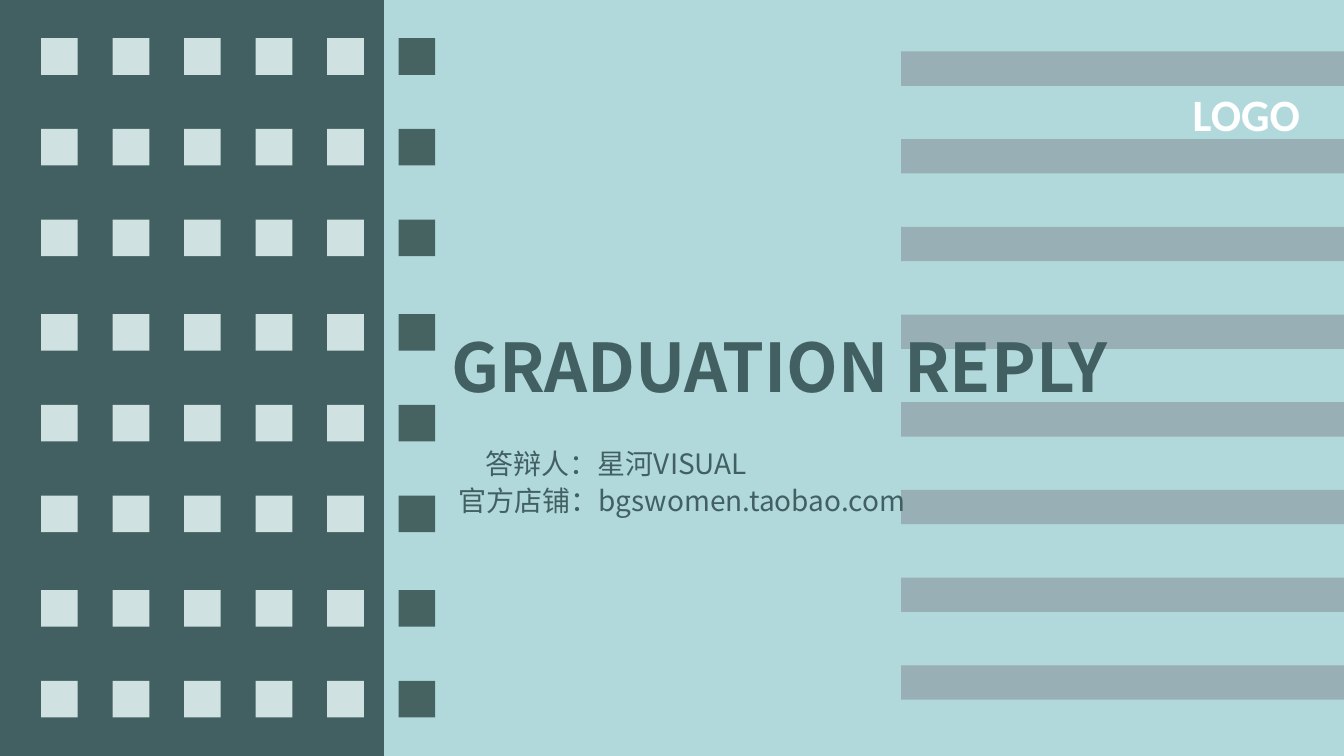
from itertools import product

from pptx import Presentation
from pptx.dml.color import RGBColor
from pptx.enum.shapes import MSO_SHAPE as Shape
from pptx.enum.text import MSO_ANCHOR as Anchor, MSO_AUTO_SIZE as AutoSize, PP_ALIGN as Align
from pptx.oxml.ns import qn
from pptx.util import Inches, Pt

SKY = RGBColor(0xB1, 0xD9, 0xDC)
TEAL = RGBColor(0x42, 0x60, 0x62)
MOSS = RGBColor(0x46, 0x62, 0x61)
MIST = RGBColor(0xCF, 0xE1, 0xE1)
STEEL = RGBColor(0x98, 0xB0, 0xB5)
WHITE = RGBColor(0xFF, 0xFF, 0xFF)
SANS = "Noto Sans CJK SC"


def write(p, text, size=20, font=SANS, color=TEAL, bold=False, indent=0, before=0):
    """Fill a paragraph with one formatted run."""
    p.alignment = Align.LEFT
    p.space_before = Pt(before)
    pPr = p._p.get_or_add_pPr()
    pPr.set("marL", str(Inches(indent)))
    pPr.set("indent", "0")
    r = p.add_run()
    r.text = text
    r.font.size, r.font.name, r.font.bold = Pt(size), font, bold
    r.font.color.rgb = color
    ea = r._r.get_or_add_rPr().makeelement(qn("a:ea"), {"typeface": font})
    r.font._rPr.find(qn("a:latin")).addnext(ea)


class Cover:
    """Draws on one slide; lengths are percentages of its width and height."""

    def __init__(self, prs):
        self.w, self.h = prs.slide_width, prs.slide_height
        self.slide = prs.slides.add_slide(prs.slide_layouts[0])
        fill = self.slide.background.fill
        fill.solid()
        fill.fore_color.rgb = SKY

    def place(self, x, y, w, h):
        return (int(self.w * x / 100), int(self.h * y / 100),
                int(self.w * w / 100), int(self.h * h / 100))

    def block(self, x, y, w, h, color):
        sp = self.slide.shapes.add_shape(Shape.RECTANGLE, *self.place(x, y, w, h))
        sp.fill.solid()
        sp.fill.fore_color.rgb = color
        sp.line.fill.background()
        sp.shadow.inherit = False

    def fill_text(self, sp, lines):
        tf = sp.text_frame
        tf.word_wrap = True
        tf.auto_size = AutoSize.NONE
        tf.vertical_anchor = Anchor.TOP
        for i, (text, style) in enumerate(lines):
            write(tf.add_paragraph() if i else tf.paragraphs[0], text, **style)

    def label(self, x, y, w, h, text, **style):
        sp = self.slide.shapes.add_textbox(*self.place(x, y, w, h))
        self.fill_text(sp, [(text, style)])

    def placeholder(self, idx, x, y, w, h, lines):
        sp = self.slide.placeholders[idx]
        sp.left, sp.top, sp.width, sp.height = self.place(x, y, w, h)
        self.fill_text(sp, lines)
        # Bring the text in front of the stripes
        self.slide.shapes._spTree.append(sp._element)


def main():
    prs = Presentation()
    prs.slide_width, prs.slide_height = Inches(13.34), Inches(7.5)
    cover = Cover(prs)

    # Side panel
    cover.block(0, 0, 28.56, 100, TEAL)

    # Stripes on the right
    for i in range(8):
        cover.block(67.05, 6.8 + 11.6 * i, 32.95, 4.55, STEEL)

    # Logo word, title and presenter lines
    cover.label(88, 10.8, 12, 8.5, "LOGO", size=32, font="Calibri", color=WHITE, bold=True)
    cover.placeholder(0, 32.83, 42.4, 58.25, 14.2,
                      [("GRADUATION REPLY", dict(size=48, bold=True))])
    cover.placeholder(1, 33.36, 58.35, 36.36, 13,
                      [("答辩人：星河VISUAL", dict(indent=0.27)),
                       ("官方店铺：bgswomen.taobao.com", dict(before=2.5))])

    # Squares: rows in bands of three, the last column outside the panel
    for row, col in product(range(8), range(6)):
        band, step = divmod(row, 3)
        cover.block(3.07 + 5.32 * col, 5.05 + 36.5 * band + 12 * step, 2.72, 4.85,
                    MOSS if col == 5 else MIST)

    prs.save("out.pptx")


if __name__ == "__main__":
    main()
